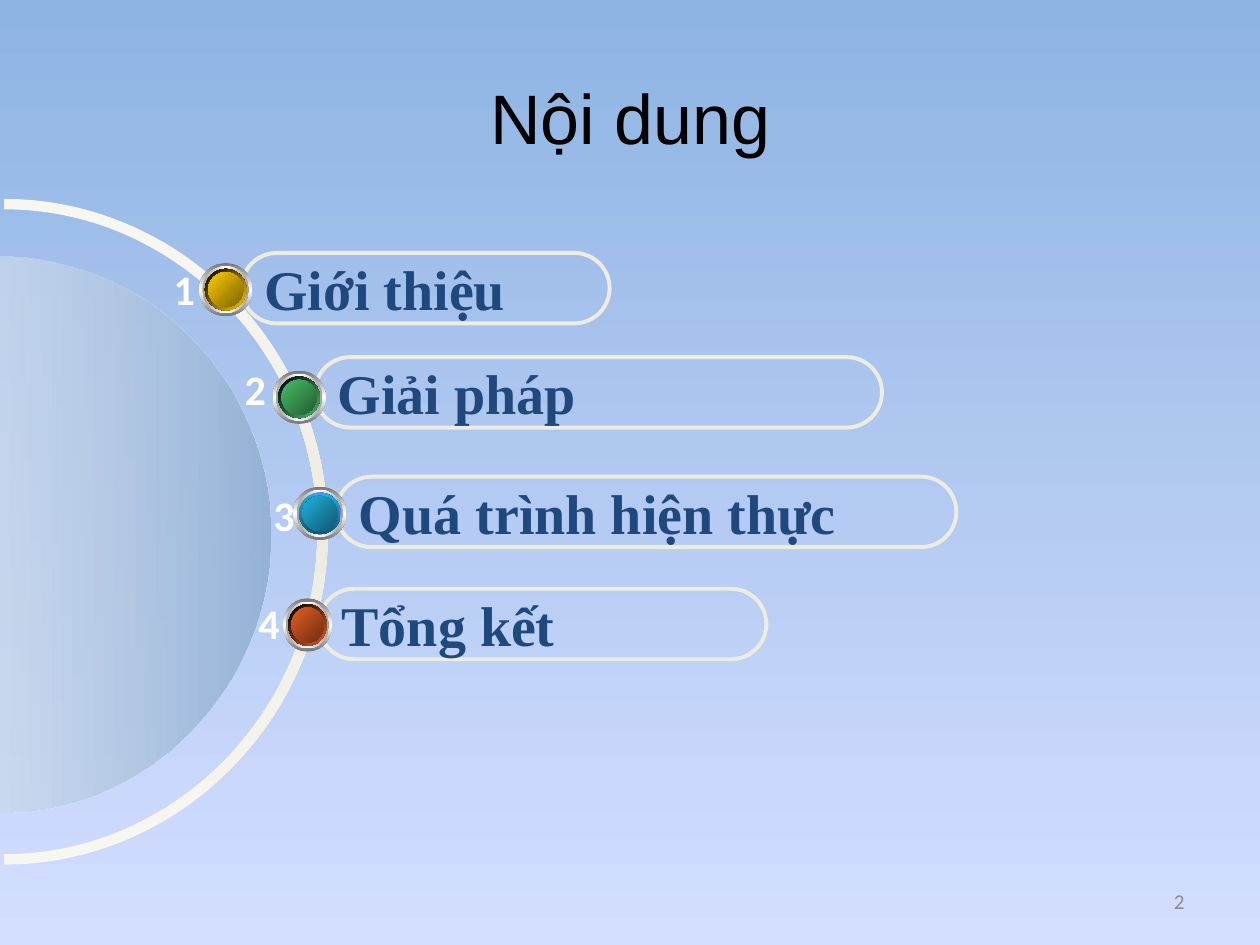
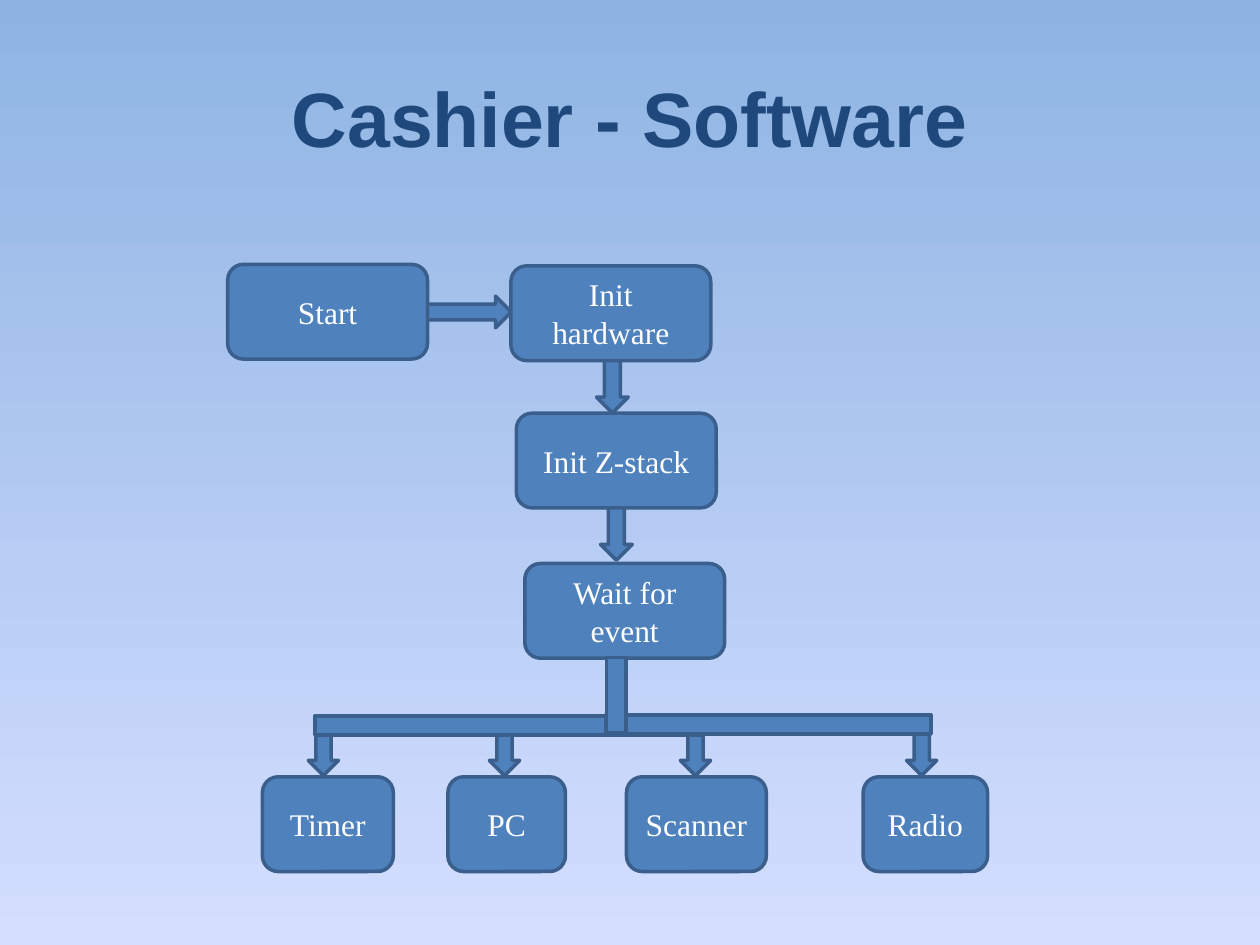
"""Build a contents slide and a cashier software flowchart."""
import copy

from lxml import etree
from pptx import Presentation
from pptx.dml.color import RGBColor
from pptx.enum import shapes, text
from pptx.oxml.ns import qn
from pptx.util import Cm, Pt

COLORS = {
    "sky": "8EB4E3", "haze": "D4DEFF", "black": "000000", "white": "FFFFFF",
    "navy": "1F497D", "gray": "8C8C8C", "cream": "EEECE1", "ivory": "F7F7F2",
    "disk": "95B3D7", "disk_pale": "CAD9EB", "steel": "767676", "silver": "A2A2A2",
    "box": "4F81BD", "edge": "3A5F8C", "pure_blue": "0000FF", "deep_blue": "0000C3",
    "yellow": "FFCC00", "yellow_dark": "7C6300",
    "green": "48BE67", "green_dark": "235C32",
    "blue": "21B3E1", "blue_dark": "10576D",
    "orange": "E35E23", "orange_dark": "6E2E11",
}
RGB = {name: RGBColor.from_string(value) for name, value in COLORS.items()}
SHAPE = shapes.MSO_SHAPE
ALIGN = text.PP_ALIGN
MIDDLE = text.MSO_ANCHOR.MIDDLE


def grad(fill, names, angle):
    fill.gradient()
    fill.gradient_angle = -angle % 360
    gs_list = fill.gradient_stops[0]._gs.getparent()
    for _ in names[2:]:
        gs_list.append(copy.deepcopy(gs_list[-1]))
    for i, (stop, name) in enumerate(zip(fill.gradient_stops, names)):
        stop.position = i / (len(names) - 1)
        stop.color.rgb = RGB[name]


def write(sp, words, size, font, color, bold=False, align=ALIGN.CENTER, wrap=True, anchor=MIDDLE):
    tf = sp.text_frame
    tf.text = words
    tf.word_wrap = wrap
    tf.vertical_anchor = anchor
    p = tf.paragraphs[0]
    p.alignment = align
    p.font.size = Pt(size)
    p.font.name = font
    p.font.bold = bold
    p.font.color.rgb = RGB[color]


prs = Presentation()
prs.slide_width, prs.slide_height = Cm(25.4), Cm(19.05)
grad(prs.slide_master.background.fill, ["sky", "haze"], 90)

titles = [("Nội dung", 40, "black", False), ("Cashier - Software", 44, "navy", True)]
for words, size, color, bold in titles:
    s = prs.slides.add_slide(prs.slide_layouts[5])
    title = s.shapes.title
    title.left, title.top, title.width, title.height = Cm(1.27), Cm(0.76), Cm(22.86), Cm(3.18)
    write(title, words, size, "Arial", color, bold)
contents, flow = prs.slides

topics = [
    ("Giới thiệu", (3.22, 5.18), (4.87, 5.1, 7.42), (4.55, 5.84, 1.07), "yellow"),
    ("Giải pháp", (4.65, 7.2), (6.35, 7.2, 11.43), (6.03, 8.01, 1.07), "green"),
    ("Quá trình hiện thực", (5.23, 9.74), (6.78, 9.61, 12.5), (6.45, 10.35, 1.07), "blue"),
    ("Tổng kết", (4.93, 11.92), (6.43, 11.87, 9.02), (6.2, 12.6, 0.99), "orange"),
]
for number, (_, (x, y), *_) in enumerate(topics, 1):
    sp = contents.shapes.add_textbox(Cm(x), Cm(y), Cm(0.99), Cm(1.27))
    write(sp, str(number), 24, "Calibri", "white", True, wrap=False, anchor=text.MSO_ANCHOR.TOP)

half_rounds = [
    (0, 10.77, [(5.46, 5.6)], ["disk_pale", "disk"], 0),
    (0.08, 10.72, [(6.53, 6.71), (6.32, -6.5)], ["ivory", "cream", "ivory"], 90),
]
quarter_turns = [(0, -1), (0.55, -1), (1, -0.55), (1, 0), (1, 0.55), (0.55, 1), (0, 1)]
for cx, cy, arcs, names, angle in half_rounds:
    points = [(Cm(cx + rx * u), Cm(cy + ry * v)) for rx, ry in arcs for u, v in quarter_turns]
    outline = contents.shapes.build_freeform(*points[0])
    outline.add_line_segments(points[1:], close=True)
    sp = outline.convert_to_shape()
    lines = list(sp._element.iter(qn("a:lnTo")))
    for start in range(0, len(points), 7):
        for first in (start, start + 3):
            curve = etree.Element(qn("a:cubicBezTo"))
            lines[first].addprevious(curve)
            for line in lines[first:first + 3]:
                curve.append(line[0])
                line.getparent().remove(line)
    sp.shadow.inherit = False
    sp.line.fill.background()
    grad(sp.fill, names, angle)
    if len(arcs) == 1:
        pale = sp.fill.gradient_stops[0]._gs[0]
        etree.SubElement(pale, qn("a:alpha"), val="74000")

for words, _, (x, y, w), _, _ in topics:
    sp = contents.shapes.add_shape(SHAPE.ROUNDED_RECTANGLE, Cm(x), Cm(y), Cm(w), Cm(1.42))
    sp.adjustments[0] = 0.5
    sp.shadow.inherit = False
    sp.fill.background()
    sp.line.color.rgb = RGB["cream"]
    sp.line.width = Pt(2.25)
    write(sp, words, 32, "Times New Roman", "navy", True, ALIGN.LEFT, wrap=False)

for _, _, _, (cx, cy, width), color in topics:
    dark = color + "_dark"
    rim = (["blue", dark], 90) if color == "blue" else (["black", color], 45)
    layers = [
        (1.07, ["steel", "white", "steel"], 90),
        (0.94, ["silver", "white", "silver"], 0),
        (0.84, ["white", "pure_blue", "white"], 45),
        (0.84, *rim),
        (0.71, ["deep_blue", "pure_blue", "deep_blue"], 315),
        (0.71, [color, dark], 45),
    ]
    button = contents.shapes.add_group_shape()
    for h, names, angle in layers:
        w = h * width / 1.07
        sp = button.shapes.add_shape(SHAPE.OVAL, Cm(cx - w / 2), Cm(cy - h / 2), Cm(w), Cm(h))
        sp.shadow.inherit = False
        sp.line.fill.background()
        grad(sp.fill, names, angle)

sp = contents.shapes.add_textbox(Cm(18.21), Cm(17.65), Cm(5.92), Cm(1.02))
write(sp, "2", 12, "Calibri", "gray", align=ALIGN.RIGHT)

arrows = [
    (SHAPE.RIGHT_ARROW, 8.61, 5.97, 1.7, 0.64, 0, ""),
    (SHAPE.RIGHT_ARROW, 11.89, 10.44, 1.07, 0.64, 90, ""),
    (SHAPE.RIGHT_ARROW, 11.81, 7.47, 1.07, 0.64, 90, ""),
]
arrows += [(SHAPE.RIGHT_ARROW, x, 14.91, 0.84, 0.61, 90, "") for x in (6.1, 9.75, 13.6, 18.16)]
steps = [
    (10.3, 5.36, 4.03, "Init hardware"),
    (10.41, 8.33, 4.03, "Init Z-stack"),
    (10.58, 11.36, 4.03, "Wait for event"),
    (4.59, 5.33, 4.03, "Start"),
    (17.4, 15.66, 2.51, "Radio"),
    (9.03, 15.66, 2.37, "PC"),
    (12.63, 15.66, 2.82, "Scanner"),
    (5.29, 15.66, 2.64, "Timer"),
]
boxes = [(SHAPE.ROUNDED_RECTANGLE, x, y, w, 1.91, 0, words) for x, y, w, words in steps]
bars = [
    (SHAPE.RECTANGLE, 6.35, 14.43, 5.97, 0.39, 0, ""),
    (SHAPE.RECTANGLE, 12.22, 14.41, 1.96, 0.41, 0, ""),
    (SHAPE.RECTANGLE, 12.22, 14.41, 6.55, 0.39, 0, ""),
    (SHAPE.RECTANGLE, 11.66, 13.82, 1.52, 0.39, 90, ""),
]
for kind, x, y, w, h, turn, words in arrows + boxes + bars:
    sp = flow.shapes.add_shape(kind, Cm(x), Cm(y), Cm(w), Cm(h))
    sp.rotation = turn
    sp.shadow.inherit = False
    sp.fill.solid()
    sp.fill.fore_color.rgb = RGB["box"]
    sp.line.color.rgb = RGB["edge"]
    sp.line.width = Pt(2)
    if words:
        write(sp, words, 18, "Times New Roman", "white")

prs.save("out.pptx")
